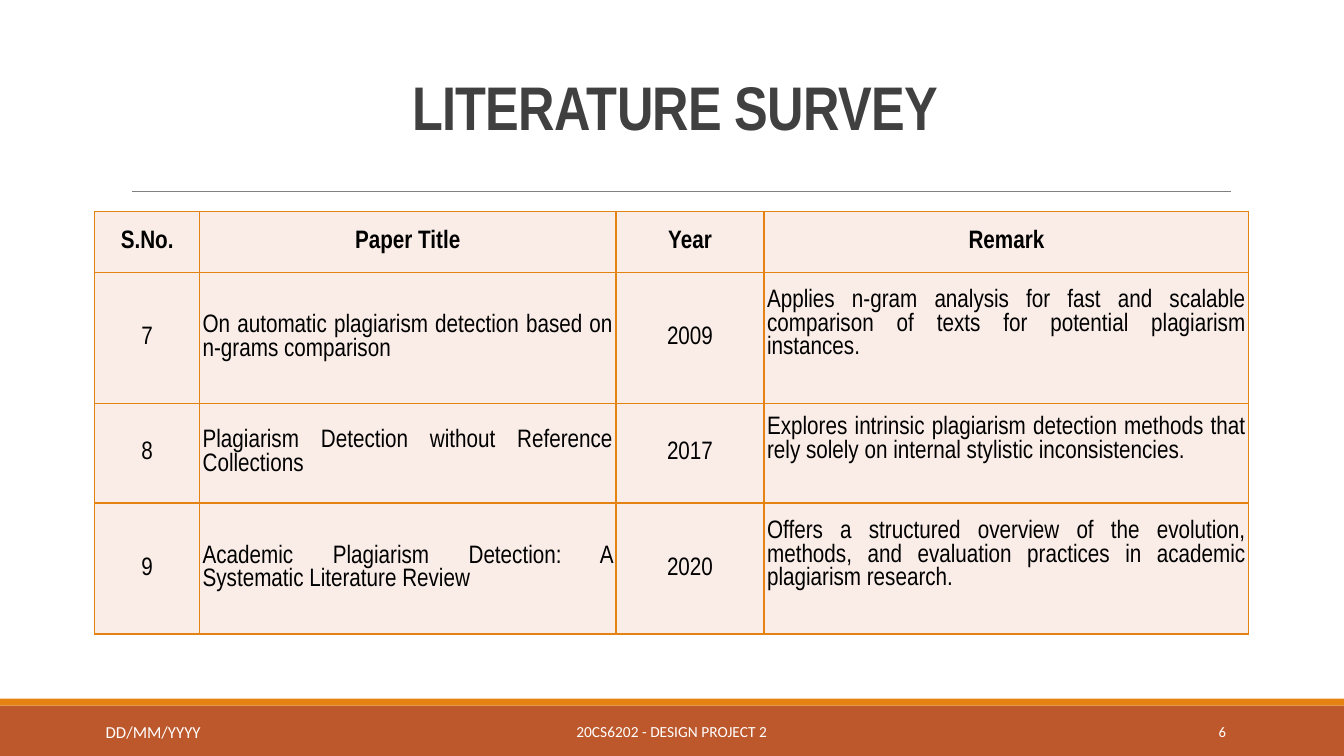
from lxml.etree import SubElement
from pptx import Presentation
from pptx.dml.color import RGBColor
from pptx.enum.shapes import MSO_CONNECTOR, MSO_SHAPE
from pptx.enum.text import MSO_ANCHOR, PP_ALIGN
from pptx.oxml import parse_xml
from pptx.oxml.ns import nsdecls, qn
from pptx.util import Pt

COLOURS = {
    "rust": "BD582C",
    "orange": "E48312",
    "rule": "808080",
    "cell": "FAEDE7",
    "title": "404040",
    "text": "000000",
    "white": "FFFFFF",
}
HEADINGS = ["S.No.", "Paper Title", "Year", "Remark"]
PAPERS = [
    ["7", "On automatic plagiarism detection based on n-grams comparison", "2009",
     "Applies n-gram analysis for fast and scalable comparison of texts for potential "
     "plagiarism instances."],
    ["8", "Plagiarism Detection without Reference Collections", "2017",
     "Explores intrinsic plagiarism detection methods that rely solely on internal "
     "stylistic inconsistencies."],
    ["9", "Academic Plagiarism Detection: A Systematic Literature Review", "2020",
     "Offers a structured overview of the evolution, methods, and evaluation practices "
     "in academic plagiarism research."],
]
COLUMN_WIDTHS = [74.9, 297.4, 105.8, 346.3]
ROW_HEIGHTS = [43.2, 93.6, 71.3, 93.6]


class SlideBuilder:
    heading_font = "Arial Narrow"
    footer_font = "Calibri"

    def __init__(self, page):
        self.page = page

    def colour(self, name):
        return RGBColor.from_string(COLOURS[name])

    def format(self, para, font, size, colour, align, bold=False):
        para.alignment = align
        para.font.name = font
        para.font.size = Pt(size)
        para.font.bold = bold
        para.font.color.rgb = self.colour(colour)

    def title(self, text, left, top, width, height):
        box = self.page.shapes.title
        box.left, box.top, box.width, box.height = map(Pt, (left, top, width, height))
        frame = box.text_frame
        frame.text = text
        frame.word_wrap = True
        frame.vertical_anchor = MSO_ANCHOR.MIDDLE
        para = frame.paragraphs[0]
        self.format(para, self.heading_font, 44, "title", PP_ALIGN.CENTER, bold=True)
        para.line_spacing = 0.85
        para.runs[0].font._element.set("spc", "-50")

    def band(self, colour, top, height):
        shape = self.page.shapes.add_shape(
            MSO_SHAPE.RECTANGLE, Pt(0), Pt(top), Pt(960), Pt(height))
        shape.shadow.inherit = False
        shape.fill.solid()
        shape.fill.fore_color.rgb = self.colour(colour)
        shape.line.fill.background()

    def rule(self, left, right, y):
        line = self.page.shapes.add_connector(
            MSO_CONNECTOR.STRAIGHT, Pt(left), Pt(y), Pt(right), Pt(y))
        line.line.color.rgb = self.colour("rule")
        line.line.width = Pt(0.5)
        SubElement(line._element.spPr, qn("a:effectLst"))

    def label(self, text, left, top, width, height, size, align):
        box = self.page.shapes.add_textbox(Pt(left), Pt(top), Pt(width), Pt(height))
        frame = box.text_frame
        frame.text = text
        frame.word_wrap = True
        frame.vertical_anchor = MSO_ANCHOR.MIDDLE
        self.format(frame.paragraphs[0], self.footer_font, size, "white", align)

    def table(self, rows, left, top, widths, heights):
        table = self.page.shapes.add_table(
            len(rows), len(widths), Pt(left), Pt(top),
            Pt(sum(widths)), Pt(sum(heights))).table
        for column, width in zip(table.columns, widths):
            column.width = Pt(width)
        for row, height in zip(table.rows, heights):
            row.height = Pt(height)
        for r, texts in enumerate(rows):
            for c, text in enumerate(texts):
                self.cell(table.cell(r, c), text, header=r == 0, column=HEADINGS[c])

    def cell(self, cell, text, header, column):
        prose = not header and column in ("Paper Title", "Remark")
        cell.text = text
        cell.vertical_anchor = MSO_ANCHOR.MIDDLE
        cell.margin_left = cell.margin_right = Pt(2.2)
        cell.margin_top = Pt(1.4)
        # Remarks sit above the middle of their rows
        cell.margin_bottom = Pt(20 if column == "Remark" and not header else 1.4)
        para = cell.text_frame.paragraphs[0]
        self.format(para, self.heading_font, 18, "text",
                    PP_ALIGN.JUSTIFY if prose else PP_ALIGN.CENTER, bold=header)
        para.line_spacing = Pt(17)
        cell.fill.solid()
        cell.fill.fore_color.rgb = self.colour("cell")
        for index, side in enumerate(("lnL", "lnR", "lnT", "lnB")):
            border = parse_xml(
                f'<a:{side} {nsdecls("a")} w="{Pt(1)}"><a:solidFill>'
                f'<a:srgbClr val="{COLOURS["orange"]}"/></a:solidFill></a:{side}>')
            cell._tc.get_or_add_tcPr().insert(index, border)


def main():
    deck = Presentation()
    deck.slide_width, deck.slide_height = Pt(960), Pt(540)
    slide = SlideBuilder(deck.slides.add_slide(deck.slide_layouts[5]))

    # Footer bands and title rule
    slide.band("rust", 504, 36)
    slide.band("orange", 499, 5)
    slide.rule(94.3, 879, 136.8)

    # Title and survey table
    slide.title("LITERATURE SURVEY", 86.4, 22.3, 792, 114.5)
    slide.table([HEADINGS] + PAPERS, 67.7, 151.2, COLUMN_WIDTHS, ROW_HEIGHTS)

    # Footer texts
    slide.label("20CS6202 - DESIGN PROJECT 2", 290.2, 508.3, 379.4, 28.8, 11, PP_ALIGN.CENTER)
    slide.label("6", 779.8, 508.3, 103, 28.8, 10.5, PP_ALIGN.RIGHT)
    slide.label("DD/MM/YYYY", 68.4, 511.9, 186.5, 21.6, 12, PP_ALIGN.LEFT)

    deck.save("out.pptx")


if __name__ == "__main__":
    main()
